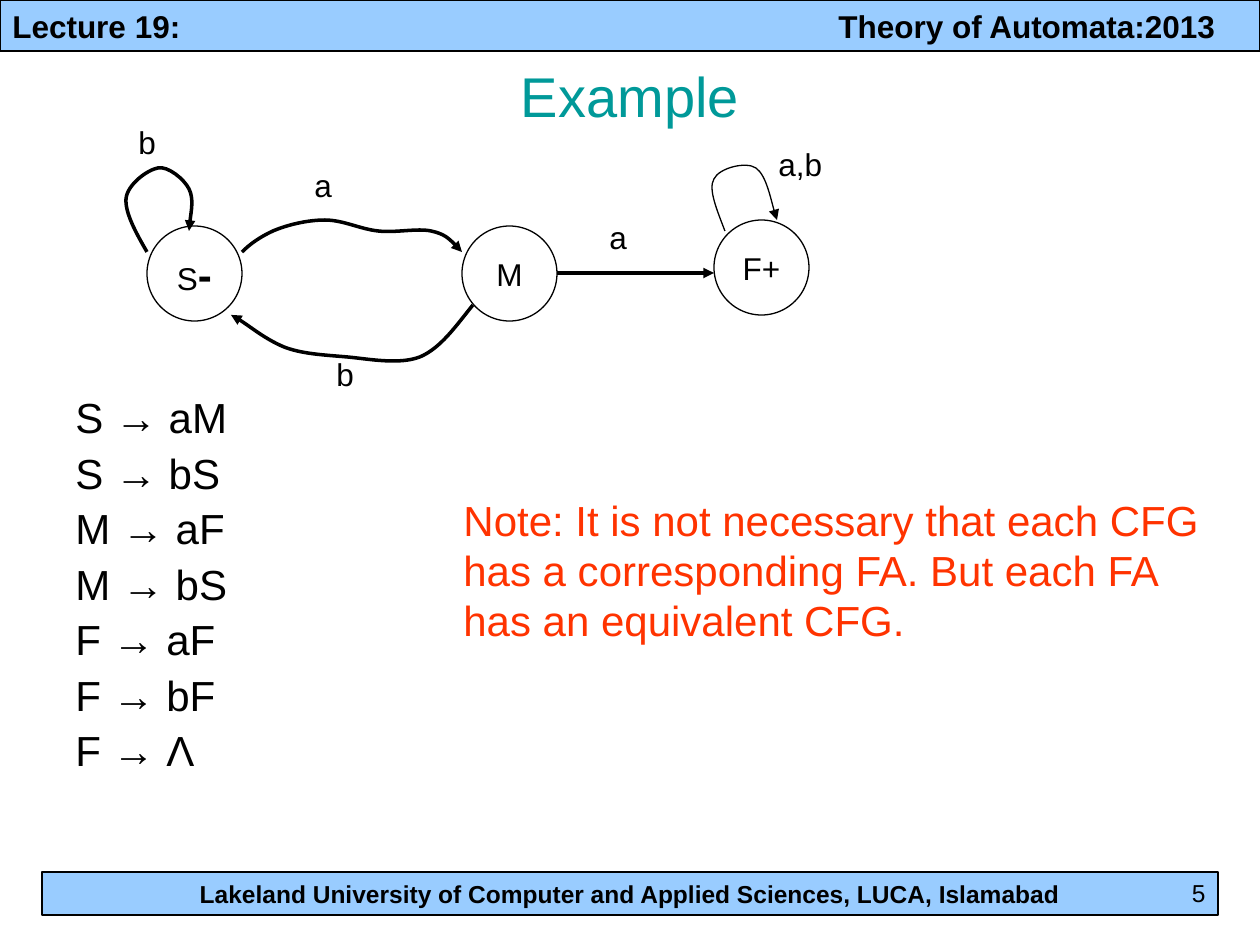
from lxml import etree
from pptx import Presentation
from pptx import util as u
from pptx.dml.color import RGBColor
from pptx.enum import shapes, text
from pptx.oxml import ns

EMU_PER_PX = 914400 / 126
FONT = "Arial"
BLACK, TEAL, RED, SKY = "000000", "009999", "FF3300", "99CCFF"
LEFT, CENTER, RIGHT = text.PP_ALIGN.LEFT, text.PP_ALIGN.CENTER, text.PP_ALIGN.RIGHT
RULES = ["S → aM", "S → bS", "M → aF", "M → bS", "F → aF", "F → bF", "F → Λ"]
NOTE = [
    "Note: It is not necessary that each CFG",
    "has a corresponding FA. But each FA",
    "has an equivalent CFG.",
]
STATE_SIZE = 95
STATES = [("M", 462, 226), ("F+", 714, 220)]
LABELS = [("a", 302, 160, 43), ("b", 324, 349, 43), ("b", 126, 117, 43),
          ("a,b", 766, 139, 69), ("a", 597, 212, 43)]
ARCS = [
    (2, [(242, 252), (250, 244), (260, 237), (273, 231), (287, 225), (307, 220), (325, 220),
         (343, 220), (360, 229), (378, 231), (396, 233), (417, 228), (431, 231),
         (445, 234), (454, 243), (462, 252)]),
    (2, [(473, 305), (456, 326), (441, 348), (420, 357), (399, 365), (369, 359), (347, 357),
         (324, 355), (302, 354), (284, 347), (265, 339), (242, 320), (231, 315)]),
    (2, [(147, 252), (136, 233), (125, 213), (126, 199), (127, 185), (147, 170), (158, 168),
         (168, 166), (184, 179), (189, 189), (194, 199), (189, 226), (189, 231)]),
    (0.75, [(725, 231), (717, 210), (708, 189), (714, 179), (719, 168), (746, 161), (756, 168),
            (766, 175), (774, 212), (777, 220)]),
]


def px(length):
    """Turn whole pixels into EMU."""
    return u.Emu(round(length * EMU_PER_PX))


def color(value):
    """Turn a hex string into a colour."""
    return RGBColor.from_string(value)


def write(frame, lines, size, ink=BLACK, align=LEFT, bold=False, anchor=text.MSO_ANCHOR.TOP):
    """Fill a text frame with one paragraph per line and format it."""
    frame.text = "\n".join(lines)
    frame.vertical_anchor = anchor
    for para in frame.paragraphs:
        para.alignment = align
        for span in para.runs:
            span.font.name = FONT
            span.font.size = u.Pt(size)
            span.font.bold = bold
            span.font.color.rgb = color(ink)


def add_text(page, place, lines, size, wrap=False, **style):
    """Add a text box and return its frame."""
    frame = page.shapes.add_textbox(*map(px, place)).text_frame
    frame.word_wrap = wrap
    write(frame, lines, size, **style)
    return frame


def add_outlined(page, kind, place):
    """Add a preset shape with a thin black outline and no fill."""
    shape = page.shapes.add_shape(kind, *map(px, place))
    shape.shadow.inherit = False
    shape.fill.background()
    shape.line.color.rgb = color(BLACK)
    shape.line.width = u.Pt(0.75)
    return shape


def add_band(page, place, line, size, align):
    """Add a sky-blue band with bold text."""
    band = add_outlined(page, shapes.MSO_SHAPE.RECTANGLE, place)
    band.fill.solid()
    band.fill.fore_color.rgb = color(SKY)
    write(band.text_frame, [line], size, align=align, bold=True, anchor=text.MSO_ANCHOR.MIDDLE)
    return band


def set_right_tab(para, position):
    """Give a paragraph one right-aligned tab stop."""
    stops = etree.SubElement(para._p.get_or_add_pPr(), ns.qn("a:tabLst"))
    etree.SubElement(stops, ns.qn("a:tab"), pos=str(px(position)), algn="r")


def add_state(page, name, left, top):
    """Add a round automaton state and return its text frame."""
    place = (left, top, STATE_SIZE, STATE_SIZE)
    frame = add_outlined(page, shapes.MSO_SHAPE.OVAL, place).text_frame
    frame.word_wrap = False
    write(frame, [name], 18, align=CENTER, anchor=text.MSO_ANCHOR.MIDDLE)
    return frame


def format_arrow(line, width):
    """Make a line black with a triangle at its end."""
    line.color.rgb = color(BLACK)
    line.width = u.Pt(width)
    etree.SubElement(line._get_or_add_ln(), ns.qn("a:tailEnd"), type="triangle")


def add_arc(page, width, points):
    """Add a curved arrow from a start point and triples of Bezier points."""
    builder = page.shapes.build_freeform(*points[0], scale=EMU_PER_PX)
    builder.add_line_segments(points[1:], close=False)
    arc = builder.convert_to_shape()
    steps = list(arc._element.iter(ns.qn("a:lnTo")))
    for start in range(0, len(steps), 3):
        curve = etree.Element(ns.qn("a:cubicBezTo"))
        steps[start].addprevious(curve)
        for step in steps[start:start + 3]:
            curve.append(step[0])
            step.getparent().remove(step)
    arc.shadow.inherit = False
    arc.fill.background()
    format_arrow(arc.line, width)


def add_arrow(page, start, end, width):
    """Add a straight arrow."""
    arrow = page.shapes.add_connector(shapes.MSO_CONNECTOR.STRAIGHT, *map(px, start + end))
    format_arrow(arrow.line, width)
    etree.SubElement(arrow._element.spPr, ns.qn("a:effectLst"))


def add_title(page, line):
    """Place and format the title placeholder."""
    title = page.shapes.title
    title.left, title.top, title.width, title.height = map(px, (63, 53, 1134, 84))
    write(title.text_frame, [line], 32, ink=TEAL, align=CENTER, anchor=text.MSO_ANCHOR.MIDDLE)


def add_automaton(page):
    """Draw the states, the transitions and their labels."""
    sign = add_state(page, "S", 147, 226).paragraphs[0].add_run()
    sign.text = "-"
    sign.font.name = FONT
    sign.font.size = u.Pt(24)
    sign.font.bold = True
    sign.font.color.rgb = color(BLACK)
    for state in STATES:
        add_state(page, *state)
    for width, points in ARCS:
        add_arc(page, width, points)
    add_arrow(page, (557, 273), (714, 273), 2)
    for name, left, top, width in LABELS:
        add_text(page, (left, top, width, 50), [name], 18)


def main():
    """Build the slide and save it."""
    deck = Presentation()
    deck.slide_width, deck.slide_height = px(1260), px(945)
    page = deck.slides.add_slide(deck.slide_layouts[5])
    header = add_band(page, (0, 0, 1260, 51), "Lecture 19:\tTheory of Automata:2013", 18, LEFT)
    set_right_tab(header.text_frame.paragraphs[0], 1203)
    footer = "Lakeland University of Computer and Applied Sciences, LUCA, Islamabad"
    add_band(page, (42, 872, 1176, 43), footer, 14, CENTER)
    add_text(page, (903, 872, 315, 32), ["5"], 14, wrap=True, align=RIGHT)
    add_title(page, "Example")
    add_automaton(page)
    grammar = add_text(page, (63, 391, 399, 449), RULES, 24, wrap=True)
    for para in grammar.paragraphs:
        para.line_spacing = 0.9
        para.space_after = u.Pt(5.8)
    note = add_text(page, (451, 488, 772, 164), NOTE, 24, ink=RED)
    for para in note.paragraphs:
        para.line_spacing = u.Pt(28.8)
    deck.save("out.pptx")


if __name__ == "__main__":
    main()
